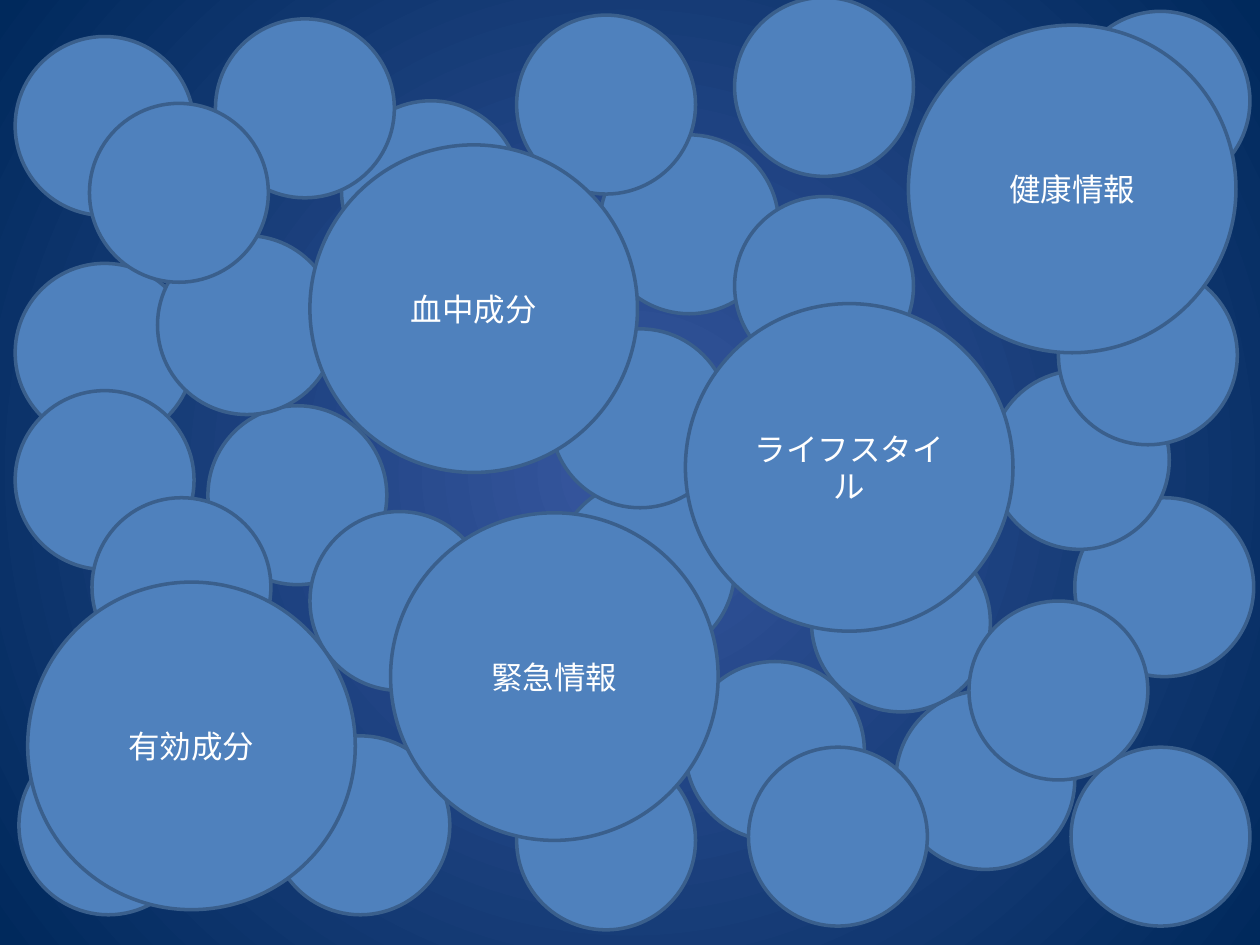
from dataclasses import dataclass

from lxml import etree
from pptx import Presentation
from pptx.dml.color import RGBColor
from pptx.enum import shapes, text
from pptx.oxml.ns import qn
from pptx.util import Inches, Pt


@dataclass(frozen=True)
class Theme:
    bubble: RGBColor = RGBColor.from_string("4F81BD")
    outline: RGBColor = RGBColor.from_string("3A5F8C")
    label: RGBColor = RGBColor.from_string("FFFFFF")
    glow: RGBColor = RGBColor.from_string("37579F")
    edge: RGBColor = RGBColor.from_string("00295C")
    font: str = "Calibri"
    label_size: int = Pt(18)
    outline_width: int = Pt(2)


THEME = Theme()
SMALL, LARGE = 1.42, 2.6

BUBBLES = [
    (4.41, 3.81), (0.12, 0.29), (4.1, 5.96), (4.76, 1.07), (1.65, 3.22),
    (0.12, 2.09), (2.71, 0.8), (7.11, 5.48), (2.46, 4.06), (1.25, 1.87),
    (0.12, 3.1), (5.44, 5.25), (4.37, 2.61), (2.15, 5.84), (6.44, 4.23),
    (4.1, 0.12), (1.71, 0.15), (8.5, 5.93), (5.83, -0.02), (8.53, 3.95),
    (7.86, 2.94), (8.5, 0.09),
    (2.46, 1.15, "血中成分"),
    (3.1, 4.07, "緊急情報"),
    (5.94, 5.93), (5.83, 1.56),
    (5.44, 2.41, "ライフスタイル"),
    (8.4, 2.11),
    (7.21, 0.2, "健康情報"),
    (7.69, 4.77), (0.71, 0.82), (0.15, 5.84), (0.73, 3.95),
    (0.22, 4.62, "有効成分"),
]


def paint_background(s):
    fill = s.background.fill
    fill.gradient()
    for stop, color, position in zip(
        fill.gradient_stops, (THEME.glow, THEME.edge), (0, 1)
    ):
        stop.color.rgb = color
        stop.position = position
    grad = s.element.find(".//" + qn("a:gradFill"))
    radial = etree.Element(qn("a:path"))
    radial.set("path", "circle")
    center = etree.SubElement(radial, qn("a:fillToRect"))
    for side in "ltrb":
        center.set(side, "50000")
    grad.replace(grad.find(qn("a:lin")), radial)


def add_bubble(s, left, top, size, label=None):
    sp = s.shapes.add_shape(
        shapes.MSO_SHAPE.OVAL, Inches(left), Inches(top), Inches(size), Inches(size)
    )
    sp.shadow.inherit = False
    sp.fill.solid()
    sp.fill.fore_color.rgb = THEME.bubble
    sp.line.color.rgb = THEME.outline
    sp.line.width = THEME.outline_width
    if label:
        tf = sp.text_frame
        tf.word_wrap = True
        tf.vertical_anchor = text.MSO_ANCHOR.MIDDLE
        p = tf.paragraphs[0]
        p.alignment = text.PP_ALIGN.CENTER
        r = p.add_run()
        r.text = label
        r.font.name = THEME.font
        r.font.size = THEME.label_size
        r.font.color.rgb = THEME.label


def add_bubble_cloud(s, left, top):
    for x, y, *label in BUBBLES:
        add_bubble(s, left + x, top + y, LARGE if label else SMALL, *label)


def main():
    prs = Presentation()
    prs.slide_width, prs.slide_height = Inches(10), Inches(7.5)
    s = prs.slides.add_slide(prs.slide_layouts[6])
    paint_background(s)
    add_bubble_cloud(s, 0, 0)
    prs.save("out.pptx")


if __name__ == "__main__":
    main()
